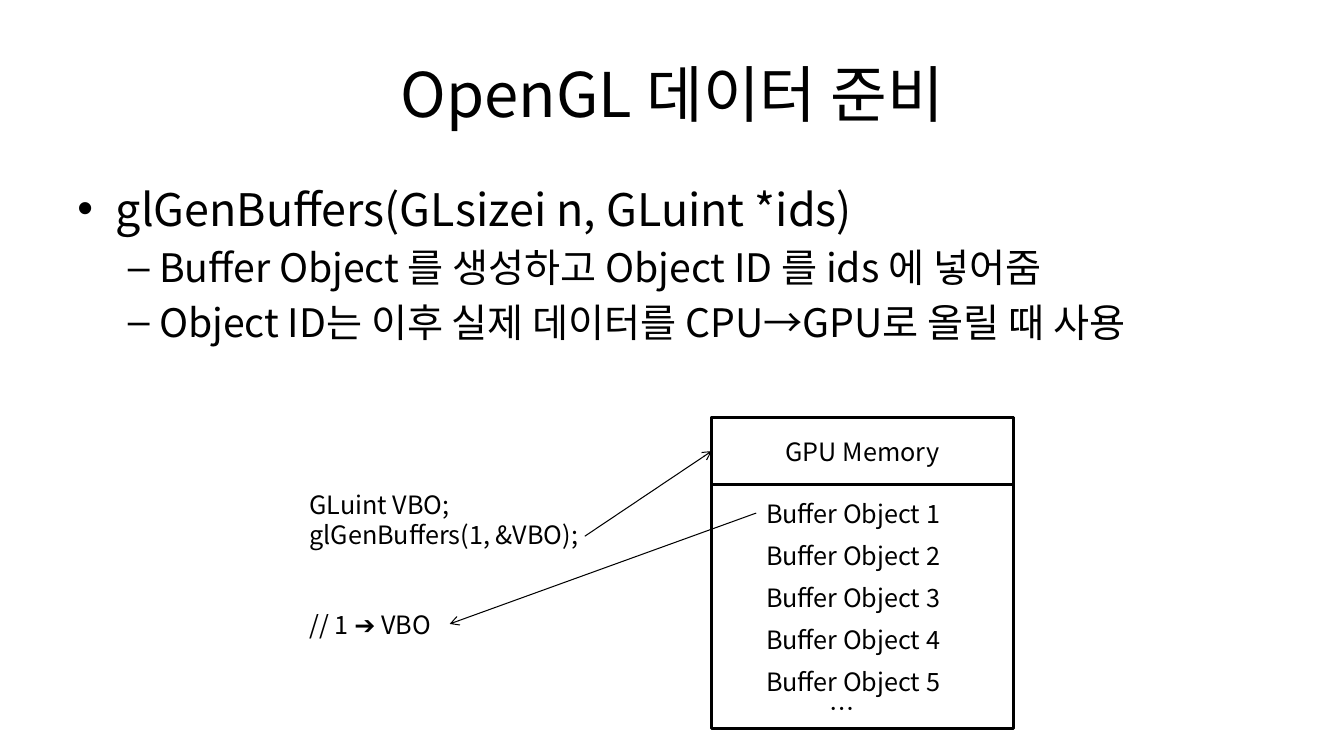
from lxml import etree
from pptx import Presentation
from pptx.dml.color import RGBColor
from pptx.enum.shapes import MSO_CONNECTOR, MSO_SHAPE
from pptx.enum.text import MSO_ANCHOR, PP_ALIGN
from pptx.oxml.ns import qn
from pptx.util import Inches, Pt

LINE = MSO_CONNECTOR.STRAIGHT
BOX = MSO_SHAPE.FLOWCHART_PROCESS
TOP, MIDDLE = MSO_ANCHOR.TOP, MSO_ANCHOR.MIDDLE
LEFT, CENTER = PP_ALIGN.LEFT, PP_ALIGN.CENTER

FONT = "Noto Sans CJK KR"
BLACK, WHITE = "000000", "FFFFFF"
WIDE, HIGH = 13.33, 7.5

TITLE = "OpenGL 데이터 준비"
POINTS = [
    (0, "glGenBuffers(GLsizei n, GLuint *ids)"),
    (1, "Buffer Object 를 생성하고 Object ID 를 ids 에 넣어줌"),
    (1, "Object ID는 이후 실제 데이터를 CPU→GPU로 올릴 때 사용"),
]
LEVELS = [("•", 32, 0.38, 0.38), ("–", 28, 0.81, 0.31)]
CODE = [("GLuint VBO;", 0), ("glGenBuffers(1, &VBO);", 0), ("// 1 ➔ VBO", 43)]
HEAD = "GPU Memory"
ITEMS = [f"Buffer Object {n}" for n in range(1, 6)]
MORE = "…"

EDGE, BODY_W = 0.67, 12
MEM_X, MEM_Y, MEM_W, MEM_H, HEAD_H = 7.06, 4.14, 2.99, 3.09, 0.67
ITEM_X, ITEM_Y, ITEM_W, ITEM_H, STEP = 7.5, 4.89, 1.95, 0.4, 0.417
ARROWS = [
    ((5.8, 5.32), (MEM_X, MEM_Y + HEAD_H / 2)),
    ((ITEM_X, ITEM_Y + ITEM_H / 2), (4.46, 6.19)),
]


def color(code):
    return RGBColor.from_string(code)


def style(para, size, align=LEFT, gap=0):
    para.alignment = align
    para.space_before = Pt(gap)
    font = para.font
    font.size = Pt(size)
    font.color.rgb = color(BLACK)
    font.name = FONT
    base = para._p.pPr.find(qn("a:defRPr"))
    etree.SubElement(base, qn("a:ea"), typeface=FONT)


def bullet(para, mark, left, hang):
    props = para._p.get_or_add_pPr()
    props.set("marL", str(Inches(left)))
    props.set("indent", str(-Inches(hang)))
    etree.SubElement(props, qn("a:buFont"), typeface="Arial")
    etree.SubElement(props, qn("a:buChar"), char=mark)


def frame(slide, x, y, w, h, anchor=TOP):
    area = slide.shapes.add_textbox(*map(Inches, (x, y, w, h))).text_frame
    area.word_wrap = True
    area.vertical_anchor = anchor
    return area


def lines(area, texts):
    for i, text in enumerate(texts):
        para = area.add_paragraph() if i else area.paragraphs[0]
        para.text = text
        yield para


def label(slide, text, x, y, w, h, size=18, align=LEFT, anchor=TOP):
    for para in lines(frame(slide, x, y, w, h, anchor), [text]):
        style(para, size, align)


def box(slide, h, text=""):
    shape = slide.shapes.add_shape(BOX, *map(Inches, (MEM_X, MEM_Y, MEM_W, h)))
    shape.shadow.inherit = False
    shape.fill.solid()
    shape.fill.fore_color.rgb = color(WHITE)
    shape.line.color.rgb = color(BLACK)
    shape.line.width = Pt(2)
    if text:
        shape.text_frame.vertical_anchor = MIDDLE
        for para in lines(shape.text_frame, [text]):
            style(para, 18, CENTER)


def arrow(slide, start, end):
    link = slide.shapes.add_connector(LINE, *map(Inches, start + end))
    link.line.color.rgb = color(BLACK)
    link.line.width = Pt(0.75)
    etree.SubElement(link.line._get_or_add_ln(), qn("a:tailEnd"), type="arrow")
    etree.SubElement(link._element.spPr, qn("a:effectLst"))


def main():
    deck = Presentation()
    deck.slide_width, deck.slide_height = Inches(WIDE), Inches(HIGH)
    slide = deck.slides.add_slide(deck.slide_layouts[6])

    label(slide, TITLE, EDGE, 0.3, BODY_W, 1.25, 44, CENTER, MIDDLE)

    body = frame(slide, EDGE, 1.75, BODY_W, 4.95)
    for para, (level, _) in zip(lines(body, [t for _, t in POINTS]), POINTS):
        mark, size, left, hang = LEVELS[level]
        para.level = level
        bullet(para, mark, left, hang)
        style(para, size, gap=size * 0.2)

    code = frame(slide, 2.97, 4.8, 3.31, 1.62)
    for para, (_, gap) in zip(lines(code, [t for t, _ in CODE]), CODE):
        style(para, 18, gap=gap)

    box(slide, MEM_H)
    box(slide, HEAD_H, HEAD)
    for start, end in ARROWS:
        arrow(slide, start, end)
    for i, item in enumerate(ITEMS):
        label(slide, item, ITEM_X, ITEM_Y + i * STEP, ITEM_W, ITEM_H)
    label(slide, MORE, 8.13, 6.83, 0.45, ITEM_H)

    deck.save("out.pptx")


if __name__ == "__main__":
    main()
